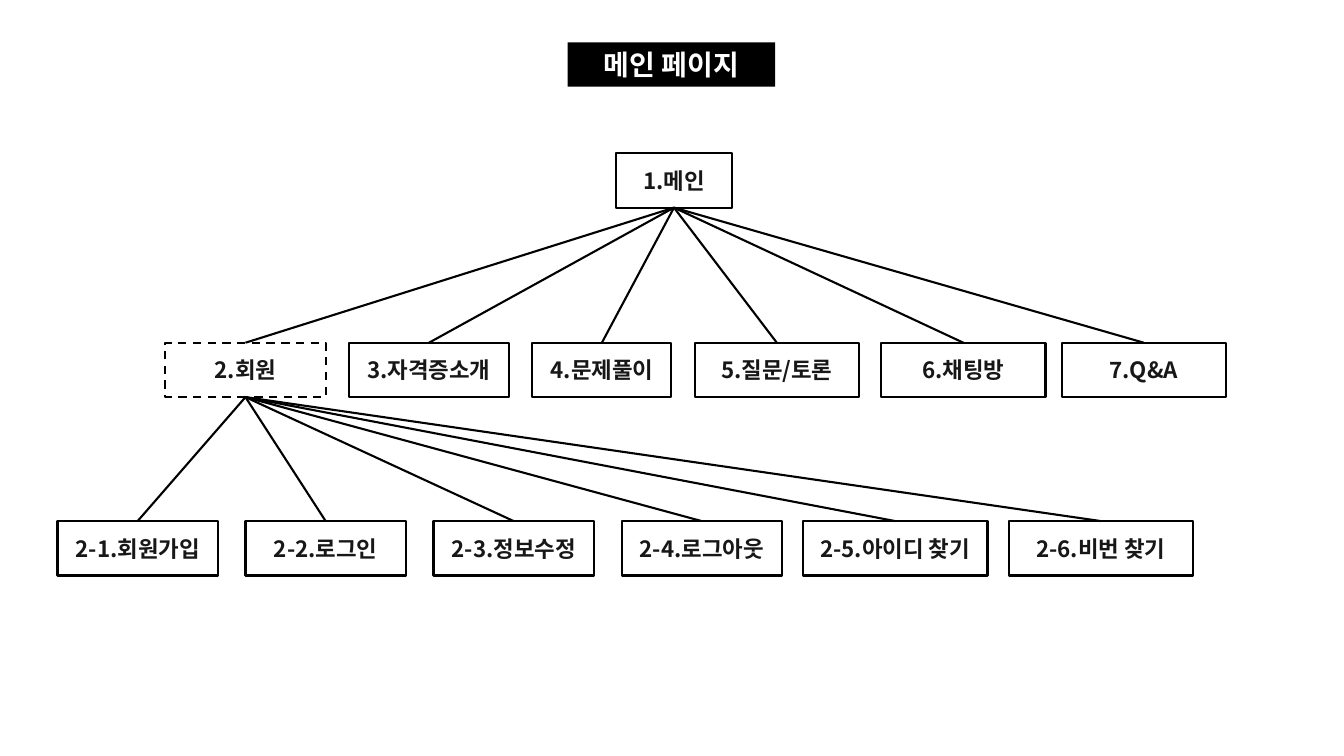
from pptx import Presentation
from pptx.util import Inches, Pt
from pptx.dml.color import RGBColor
from pptx.enum.dml import MSO_LINE
from pptx.enum.shapes import MSO_CONNECTOR, MSO_SHAPE
from pptx.enum.text import MSO_ANCHOR, MSO_AUTO_SIZE, PP_ALIGN
from pptx.oxml.ns import qn
from lxml.etree import SubElement

FONT = "Noto Sans CJK KR"
BLACK, INK, WHITE = "000000", "181717", "FFFFFF"
COLS, ROWS = 1333, 750  # fine grid over the slide
TOP, BOTTOM = 0, 2  # connection sites of a rectangle
NODE = 54  # node height in rows

# Each node: label, gap before it, width (in columns)
MENU = [
    ("2.회원", 0, 159), ("3.자격증소개", 23, 159), ("4.문제풀이", 23, 138),
    ("5.질문/토론", 23, 163), ("6.채팅방", 22, 163), ("7.Q&A", 16, 163),
]
MEMBER = [
    ("2-1.회원가입", 0, 159), ("2-2.로그인", 27.5, 159),
    ("2-3.정보수정", 27.5, 159), ("2-4.로그아웃", 27.5, 159),
    ("2-5.아이디 찾기", 21, 183), ("2-6.비번 찾기", 21, 183),
]

deck = Presentation()
deck.slide_width, deck.slide_height = Inches(13.33), Inches(7.5)
slide = deck.slides.add_slide(deck.slide_layouts[6])


def color(code):
    return RGBColor.from_string(code)


def place(x, y, w, h):
    """Turn grid columns and rows into slide lengths."""
    col, row = deck.slide_width / COLS, deck.slide_height / ROWS
    return [round(n) for n in (x * col, y * row, w * col, h * row)]


def block(box, label, size, ink):
    """Draw a rectangle with one centred bold line of text."""
    shape = slide.shapes.add_shape(MSO_SHAPE.RECTANGLE, *place(*box))
    shape.shadow.inherit = False
    frame = shape.text_frame
    frame.word_wrap = True
    para = frame.paragraphs[0]
    para.alignment = PP_ALIGN.CENTER
    run = para.add_run()
    run.text = label
    font = run.font
    font.name, font.size, font.bold = FONT, Pt(size), True
    font.color.rgb = color(ink)
    SubElement(font._element, qn("a:ea")).set("typeface", FONT)
    return shape


def title(box, label):
    shape = block(box, label, 20, WHITE)
    shape.fill.solid()
    shape.fill.fore_color.rgb = color(BLACK)
    shape.line.fill.background()
    shape.text_frame.vertical_anchor = MSO_ANCHOR.TOP
    shape.text_frame.auto_size = MSO_AUTO_SIZE.SHAPE_TO_FIT_TEXT


def node(box, label):
    shape = block(box, label, 16, INK)
    shape.fill.background()
    shape.line.color.rgb = color(BLACK)
    shape.line.width = Pt(1.5)
    shape.text_frame.vertical_anchor = MSO_ANCHOR.MIDDLE
    return shape


def link(parent, child):
    line = slide.shapes.add_connector(MSO_CONNECTOR.STRAIGHT, 0, 0, 0, 0)
    line.begin_connect(parent, BOTTOM)
    line.end_connect(child, TOP)
    line.line.color.rgb = color(BLACK)
    line.line.width = Pt(1.5)
    SubElement(line._element.spPr, qn("a:effectLst"))


def level(x, y, items, parent):
    """Lay nodes out from left to right and link each to its parent."""
    nodes = []
    for label, gap, wide in items:
        x += gap
        nodes.append(node((x, y, wide, NODE), label))
        link(parent, nodes[-1])
        x += wide
    return nodes


# Title
title((563, 42, 206, 44), "메인 페이지")

# Site tree
root = node((611, 152, 115, NODE), "1.메인")
menu = level(164, 340, MENU, root)
menu[0].line.dash_style = MSO_LINE.DASH
level(57, 517, MEMBER, menu[0])

deck.save("out.pptx")
